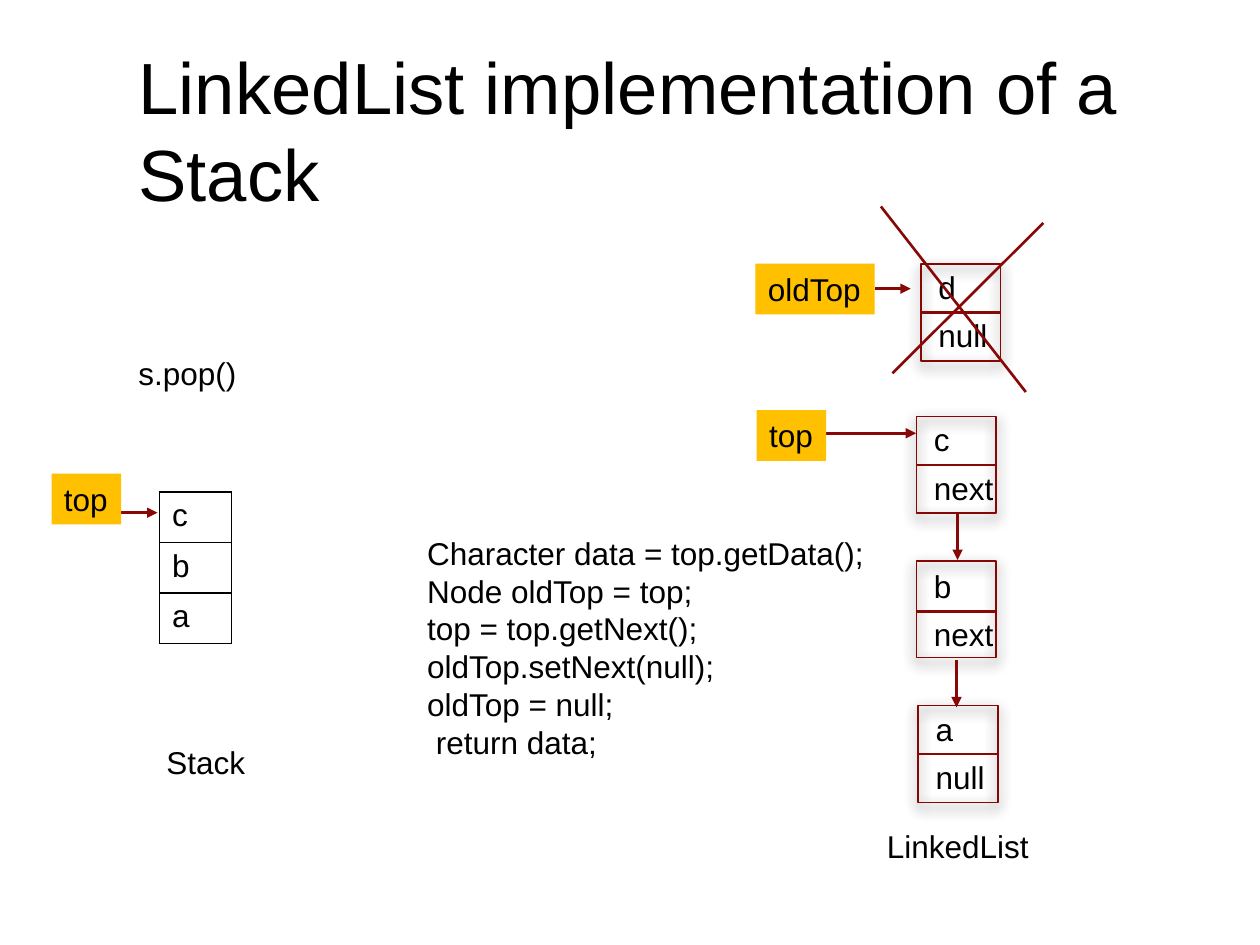
from pptx import Presentation
from pptx.dml.color import RGBColor
from pptx.enum.shapes import MSO_CONNECTOR, MSO_SHAPE
from pptx.enum.text import MSO_ANCHOR, MSO_AUTO_SIZE, PP_ALIGN
from pptx.oxml import parse_xml
from pptx.oxml.ns import nsdecls, qn
from pptx.oxml.xmlchemy import OxmlElement
from pptx.util import Pt

BLACK = RGBColor(0x00, 0x00, 0x00)
GOLD = RGBColor(0xFF, 0xC0, 0x00)
DARK_RED = RGBColor(0x86, 0x09, 0x08)
NODE_RED = RGBColor(0x86, 0x06, 0x05)

FONT = "Arial"
TEXT_SIZE = 18
LABEL_HEIGHT = 29
NODE_WIDTH, NODE_HEIGHT = 45.6, 55.4
STRAIGHT = MSO_CONNECTOR.STRAIGHT
RECTANGLE = MSO_SHAPE.RECTANGLE
LEFT, TOP, MIDDLE = PP_ALIGN.LEFT, MSO_ANCHOR.TOP, MSO_ANCHOR.MIDDLE
FIT_SHAPE, NO_FIT = MSO_AUTO_SIZE.SHAPE_TO_FIT_TEXT, MSO_AUTO_SIZE.NONE

# left, top, value, pointer, downward shift of divider and text
NODES = [
    (524.7, 403.2, "a", "null", 0),
    (523.7, 320.4, "b", "next", 1.4),
    (523.7, 238, "c", "next", 0),
    (526.2, 151, "d", "null", 0),
]
POINTER_LABELS = [
    (29.5, 270.7, 39.8, "top"),
    (431.7, 150.7, 68.2, "oldTop"),
    (432.4, 234.4, 39.8, "top"),
]
CAPTIONS = [
    (88, 421.2, 59.8, "Stack"),
    (499.7, 469, 96.2, "LinkedList"),
    (72, 198.7, 76, "s.pop()"),
]
ARROWS = [
    (69.3, 293, 90, 293),
    (547.2, 293.3, 547.2, 320),
    (546.6, 377.3, 546.6, 404.2),
    (471.2, 247.6, 523.5, 247.6),
    (499.9, 165, 520.4, 165),
]
CROSS = [(596.2, 127.4, 510, 213.3), (503.4, 118, 586.2, 224)]
POP_CODE = """Character data = top.getData();
Node oldTop = top;
top = top.getNext();
oldTop.setNext(null);
oldTop = null;
 return data;"""


def format_text(text_frame, size=TEXT_SIZE):
    for paragraph in text_frame.paragraphs:
        paragraph.alignment = LEFT
        for run in paragraph.runs:
            run.font.name = FONT
            run.font.size = Pt(size)
            run.font.bold = False
            run.font.color.rgb = BLACK


def write_unwrapped(shape, text):
    text_frame = shape.text_frame
    text_frame.text = text
    text_frame.word_wrap = False
    text_frame.auto_size = FIT_SHAPE
    text_frame.vertical_anchor = TOP
    format_text(text_frame)


def add_text(shapes, left, top, width, text, height=LABEL_HEIGHT):
    box = shapes.add_textbox(Pt(left), Pt(top), Pt(width), Pt(height))
    write_unwrapped(box, text)


def add_pointer_label(shapes, left, top, width, text):
    label = shapes.add_shape(RECTANGLE, Pt(left), Pt(top), Pt(width), Pt(LABEL_HEIGHT))
    label.shadow.inherit = False
    label.fill.solid()
    label.fill.fore_color.rgb = GOLD
    label.line.fill.background()
    write_unwrapped(label, text)


def add_line(shapes, x1, y1, x2, y2, arrow=False):
    line = shapes.add_connector(STRAIGHT, Pt(x1), Pt(y1), Pt(x2), Pt(y2))
    line.line.color.rgb = DARK_RED
    line.line.width = Pt(1.5)
    if arrow:
        arrowhead = OxmlElement("a:tailEnd")
        arrowhead.set("type", "triangle")
        line.line._get_or_add_ln().append(arrowhead)
    line._element.spPr.append(OxmlElement("a:effectLst"))


def add_soft_shadow(shape):
    shape.shadow.inherit = False
    effects = shape._element.spPr.find(qn("a:effectLst"))
    effects.append(parse_xml(
        f'<a:outerShdw {nsdecls("a")} blurRad="{Pt(8)}" dist="{Pt(3)}" dir="5400000" '
        'rotWithShape="0"><a:srgbClr val="000000"><a:alpha val="75000"/></a:srgbClr>'
        '</a:outerShdw>'))


def add_node(shapes, left, top, value, pointer, shift):
    """Group a list node: a box split into its value and its next pointer."""
    node = shapes.add_group_shape().shapes
    box = node.add_shape(RECTANGLE, Pt(left), Pt(top), Pt(NODE_WIDTH), Pt(NODE_HEIGHT))
    box.fill.background()
    box.line.color.rgb = NODE_RED
    box.line.width = Pt(1)
    add_soft_shadow(box)
    divider = top + NODE_HEIGHT / 2 + shift
    add_line(node, left, divider, left + NODE_WIDTH, divider)
    add_text(node, left + 2.9, divider - 1.4, 52, pointer)
    add_text(node, left + 2.9, divider - 29, 24.5, value)


def add_cell_borders(cell):
    properties = cell._tc.get_or_add_tcPr()
    for side in ("lnL", "lnR", "lnT", "lnB"):
        properties.append(parse_xml(
            f'<a:{side} {nsdecls("a")} w="{Pt(1)}"><a:solidFill>'
            f'<a:srgbClr val="{BLACK}"/></a:solidFill></a:{side}>'))


def add_stack_table(shapes, values):
    row_height = 28.8
    frame = shapes.add_table(len(values), 1, Pt(91.2), Pt(281.2), Pt(41),
                             Pt(row_height * len(values)))
    table = frame.table
    table.first_row = False
    table.horz_banding = False
    for row, value in zip(table.rows, values):
        row.height = Pt(row_height)
        cell = row.cells[0]
        cell.text_frame.text = value
        format_text(cell.text_frame)
        add_cell_borders(cell)
        cell.fill.background()


def set_title(title, text):
    title.left, title.top, title.width, title.height = Pt(72), Pt(39.6), Pt(576), Pt(68.4)
    text_frame = title.text_frame
    text_frame.text = text
    text_frame.word_wrap = True
    text_frame.auto_size = NO_FIT
    text_frame.vertical_anchor = MIDDLE
    format_text(text_frame, 41.4)


def main():
    presentation = Presentation()
    presentation.slide_width, presentation.slide_height = Pt(720), Pt(540)
    slide = presentation.slides.add_slide(presentation.slide_layouts[5])
    shapes = slide.shapes
    set_title(shapes.title, "LinkedList implementation of a Stack")
    add_stack_table(shapes, ["c", "b", "a"])
    for node in NODES:
        add_node(shapes, *node)
    for caption in CAPTIONS:
        add_text(shapes, *caption)
    add_text(shapes, 237, 301.5, 266.4, POP_CODE, height=138.2)
    for arrow in ARROWS:
        add_line(shapes, *arrow, arrow=True)
    for label in POINTER_LABELS:
        add_pointer_label(shapes, *label)
    for stroke in CROSS:
        add_line(shapes, *stroke)
    presentation.save("out.pptx")


if __name__ == "__main__":
    main()
